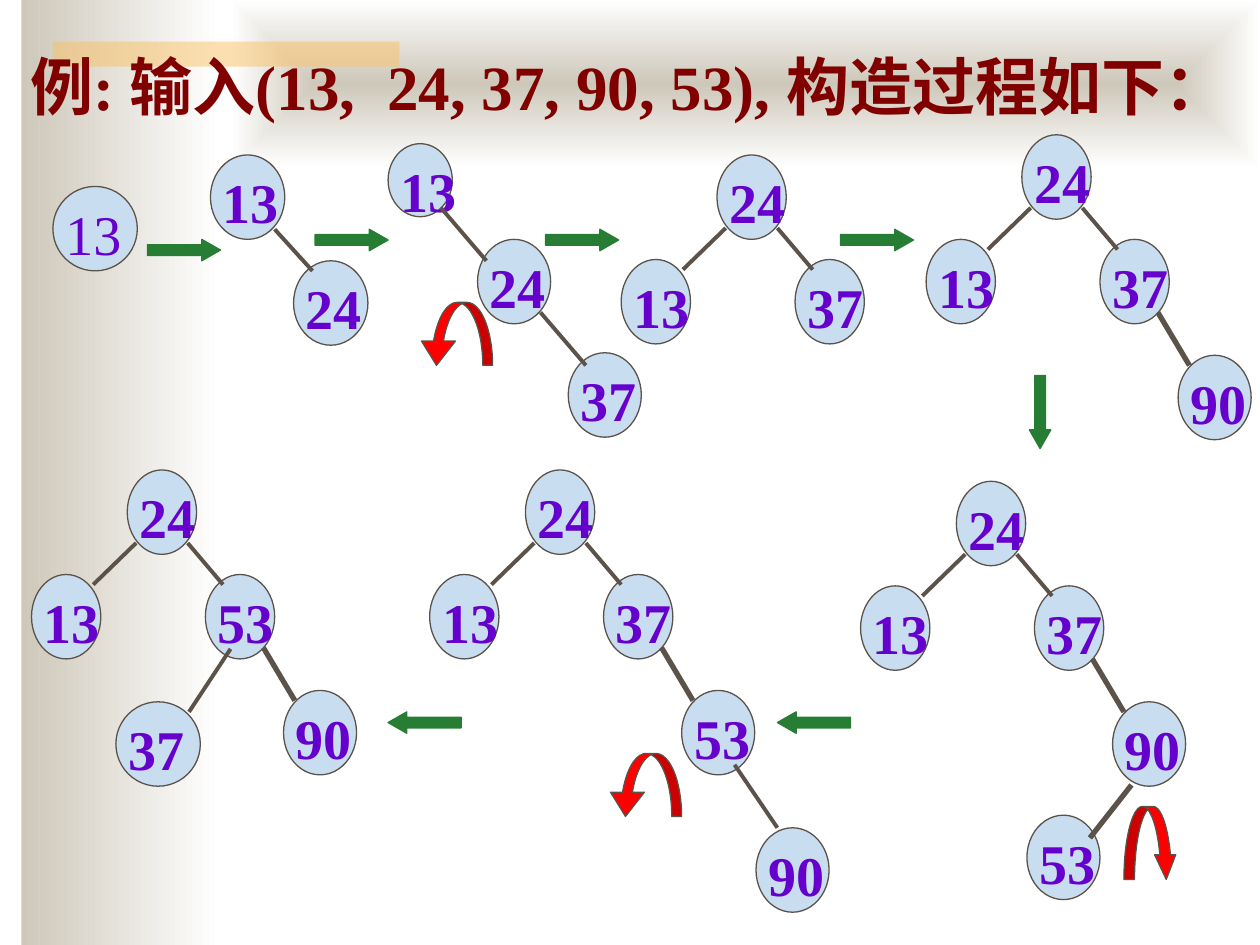
"""Build a slide showing how a balanced binary tree grows from five inserted keys."""
from lxml.etree import SubElement
from pptx import Presentation
from pptx.dml.color import RGBColor
from pptx.enum.shapes import MSO_CONNECTOR, MSO_SHAPE
from pptx.enum.text import MSO_ANCHOR, MSO_AUTO_SIZE, PP_ALIGN
from pptx.oxml.ns import qn
from pptx.util import Inches, Pt

TITLE = "例: 输入(13,  24, 37, 90, 53), 构造过程如下："
FONT = "Times New Roman"
COLORS = {"sand": "CEC8BA", "white": "FFFFFF", "gold": "FAC164", "title": "800000",
          "node": "C9DDF1", "line": "5B5249", "key": "6600CC", "step": "277D33", "turn": "FF0000"}

# Slot: offset from the root, node width, then the edge from the parent and its weight.
SLOTS = {
    "only": (0, 0, 0.67, None),
    "pair": (0, 0, 0.59, None),
    "pair right": (0.66, 0.84, 0.59, (0.51, 0.59, 0.81, 0.92, 2.25)),
    "chain": (0, 0, 0.51, None),
    "chain 2": (0.71, 0.76, 0.58, (0.42, 0.51, 0.78, 0.93, 2.25)),
    "chain 3": (1.43, 1.66, 0.58, (1.21, 1.34, 1.57, 1.76, 2.25)),
    "root": (0, 0, 0.55, None),
    "left": (-0.76, 0.83, 0.55, (0.07, 0.58, -0.27, 0.91, 2.25)),
    "right": (0.62, 0.83, 0.55, (0.48, 0.58, 0.76, 0.91, 2.25)),
    "right right": (1.24, 1.75, 0.58, (1.08, 1.41, 1.33, 1.83, 3)),
    "right left": (-0.09, 1.84, 0.67, (0.82, 1.42, 0.49, 1.92, 2.25)),
    "inner": (0.56, 2.65, 0.58, (1.39, 2.41, 1.06, 2.83, 3)),
    "outer": (1.83, 2.84, 0.58, (1.66, 2.34, 2, 2.84, 2.25)),
}
TREES = [
    (0.42, 1.48, {"only": 13}),
    (1.67, 1.23, {"pair": 13, "pair right": 24}),
    (3.08, 1.14, {"chain": 13, "chain 2": 24, "chain 3": 37}),
    (5.69, 1.23, {"root": 24, "left": 13, "right": 37}),
    (8.11, 1.07, {"root": 24, "left": 13, "right": 37, "right right": 90}),
    (7.59, 3.82, {"root": 24, "left": 13, "right": 37, "right right": 90, "inner": 53}),
    (4.17, 3.73, {"root": 24, "left": 13, "right": 37, "right right": 53, "outer": 90}),
    (1.01, 3.73, {"root": 24, "left": 13, "right": 53, "right right": 90, "right left": 37}),
]
RIGHT, LEFT, DOWN = MSO_SHAPE.RIGHT_ARROW, MSO_SHAPE.LEFT_ARROW, MSO_SHAPE.DOWN_ARROW
STEPS = [(RIGHT, 1.17, 1.9), (RIGHT, 2.5, 1.82), (RIGHT, 4.33, 1.82), (RIGHT, 6.67, 1.82),
         (DOWN, 8.17, 2.98), (LEFT, 6.17, 5.65), (LEFT, 3.08, 5.65)]
STEP_LENGTH, STEP_WIDTH = 0.58, 0.17
TURN_LEFT, TURN_RIGHT = (0.156, 0.538, 0.385), (0.2, 0.4, 0.467)
TURNS = [((3.33, 2.4, 0.58, 0.5), TURN_LEFT, True),
         ((4.83, 5.98, 0.58, 0.5), TURN_LEFT, True),
         ((8.92, 6.4, 0.42, 0.58), TURN_RIGHT, False)]
NODE_HEIGHT, LABEL_RISE, LABEL_SIZE = 0.67, 0.08, (0.65, 0.77)


def rgb(name):
    return RGBColor.from_string(COLORS[name])


def add_shape(shapes, kind, box, fill, line=None, adjustments=()):
    sp = shapes.add_shape(kind, *map(Inches, box))
    sp.shadow.inherit = False
    sp.fill.solid()
    sp.fill.fore_color.rgb = rgb(fill)
    if line:
        sp.line.color.rgb = rgb(line)
        sp.line.width = Pt(0.75)
    else:
        sp.line.fill.background()
    for i, value in enumerate(adjustments):
        sp.adjustments[i] = value
    return sp


def write(tf, text, size, color, bold=True):
    p = tf.paragraphs[0]
    p.alignment = PP_ALIGN.LEFT
    r = p.add_run()
    r.text = text
    for name, value in {"name": FONT, "size": Pt(size), "bold": bold}.items():
        setattr(r.font, name, value)
    r.font.color.rgb = rgb(color)
    return p


def add_gradient(shapes, box):
    sp = add_shape(shapes, MSO_SHAPE.RECTANGLE, box, "sand")
    sp.fill.gradient()
    sp.fill.gradient_angle = 0
    for stop, name in zip(sp.fill.gradient_stops, ("sand", "white")):
        stop.color.rgb = rgb(name)
    return sp


def add_backdrop(shapes):
    add_gradient(shapes, (0.17, 0, 1.58, 7.5))
    band = add_gradient(shapes, (1.83, 0, 8.17, 1.33))
    grad = band._element.spPr.find(qn("a:gradFill"))
    grad.remove(grad.find(qn("a:lin")))
    focus = SubElement(grad, qn("a:path"), {"path": "shape"})
    SubElement(focus, qn("a:fillToRect"), dict.fromkeys("ltrb", "50000"))
    bar = add_shape(shapes, MSO_SHAPE.RECTANGLE, (0.42, 0.33, 2.75, 0.2), "gold")
    color = bar._element.spPr.find(qn("a:solidFill")).find(qn("a:srgbClr"))
    SubElement(color, qn("a:alpha"), {"val": "50000"})


def add_title(shapes):
    title = shapes.title
    shapes._spTree.append(title._element)
    box = (0.14, 0.33, 9.72, 0.7)
    for name, value in zip(("left", "top", "width", "height"), box):
        setattr(title, name, Inches(value))
    tf = title.text_frame
    for name, value in {"word_wrap": True, "auto_size": MSO_AUTO_SIZE.NONE,
                        "vertical_anchor": MSO_ANCHOR.TOP}.items():
        setattr(tf, name, value)
    write(tf, TITLE, 36, "title")


def add_edge(shapes, x, y, edge):
    x1, y1, x2, y2, weight = edge
    ends = (x + x1, y + y1, x + x2, y + y2)
    line = shapes.add_connector(MSO_CONNECTOR.STRAIGHT, *map(Inches, ends))
    line.line.color.rgb = rgb("line")
    line.line.width = Pt(weight)
    SubElement(line._element.spPr, qn("a:effectLst"))


def add_tree(slide, x, y, keys):
    shapes = slide.shapes.add_group_shape().shapes
    for slot, key in keys.items():
        dx, dy, width, _ = SLOTS[slot]
        height = 0.58 if slot == "chain" else NODE_HEIGHT
        left, top = x + dx, y + dy
        add_shape(shapes, MSO_SHAPE.OVAL, (left, top, width, height), "node", "line")
        label = shapes.add_textbox(*map(Inches, (left, top - LABEL_RISE, *LABEL_SIZE)))
        label.text_frame.word_wrap = False
        p = write(label.text_frame, str(key), 32, "key", bold=slot != "only")
        p.line_spacing = 1.25
    for slot in keys:
        if SLOTS[slot][3]:
            add_edge(shapes, x, y, SLOTS[slot][3])


def main():
    prs = Presentation()
    prs.slide_width, prs.slide_height = Inches(10), Inches(7.5)
    s = prs.slides.add_slide(prs.slide_layouts[5])
    add_backdrop(s.shapes)
    add_title(s.shapes)
    for tree in TREES:
        add_tree(s, *tree)
    for kind, x, y in STEPS:
        size = (STEP_WIDTH, STEP_LENGTH) if kind == DOWN else (STEP_LENGTH, STEP_WIDTH)
        add_shape(s.shapes, kind, (x, y, *size), "step", "step", (0.5, 0.875))
    for box, adjustments, flipped in TURNS:
        sp = add_shape(s.shapes, MSO_SHAPE.CURVED_DOWN_ARROW, box, "turn", "line", adjustments)
        if flipped:
            sp._element.spPr.find(qn("a:xfrm")).set("flipH", "1")
    prs.save("out.pptx")


if __name__ == "__main__":
    main()
